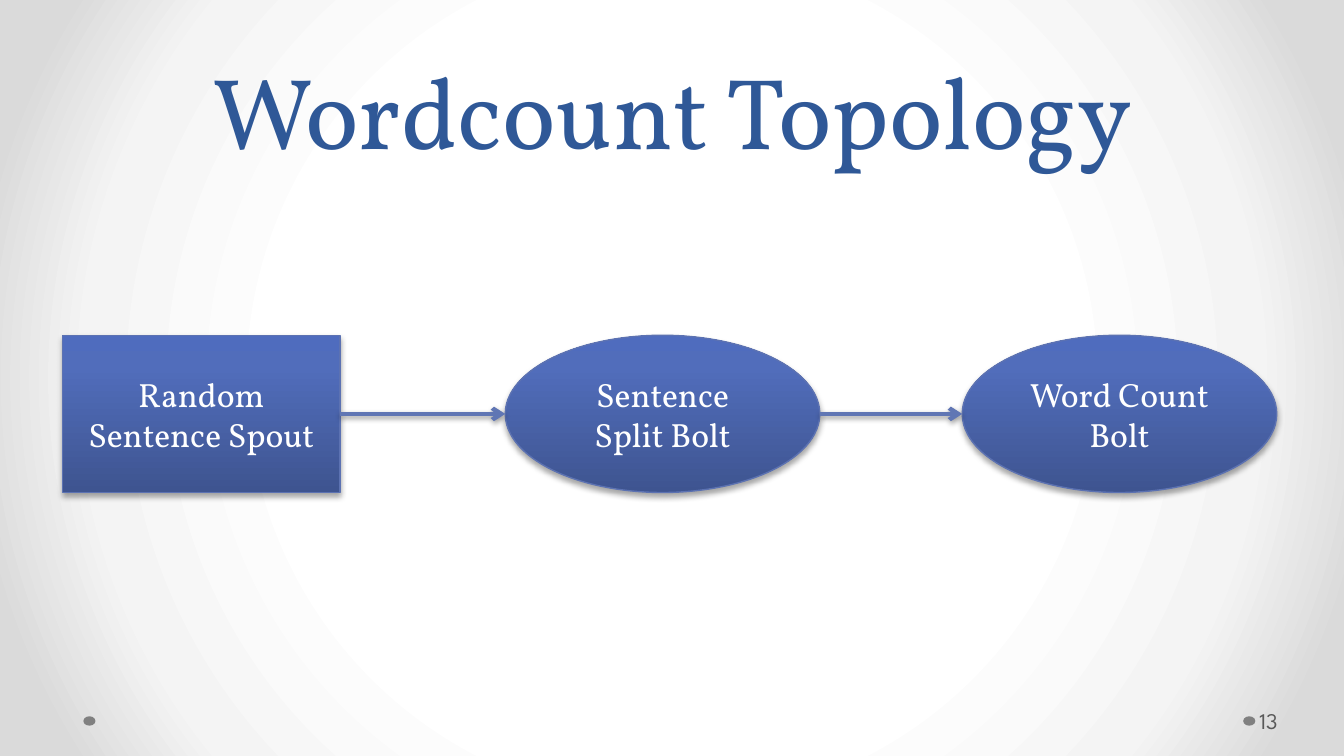
from lxml import etree
from pptx import Presentation
from pptx.dml.color import RGBColor
from pptx.enum import shapes, text
from pptx.oxml import parse_xml
from pptx.oxml.ns import nsdecls, qn
from pptx.util import Pt

PX = 4572  # 200 px to the inch
SERIF, SANS = "Vollkorn", "League Spartan"
RECT, OVAL = shapes.MSO_SHAPE.RECTANGLE, shapes.MSO_SHAPE.OVAL
BACK = [(50, "FFFFFF"), (76, "F4F4F4"), (92, "DADADA")]
BLUE = [(0, "3E5490"), (80, "516DBB"), (100, "4F6CBE")]
RADIAL = ('<a:path path="circle"><a:fillToRect l="50000" t="50000" '
          'r="50000" b="50000"/></a:path>')
UPWARD = '<a:lin ang="16200000" scaled="0"/>'


def px(*nums):
    return [n * PX for n in nums]


def color(code):
    return RGBColor.from_string(code)


def style(para, face, size, code, align=None):
    para.font.name, para.font.size = face, Pt(size)
    para.font.color.rgb = color(code)
    para.alignment = align


def shade(parent, stops, course):
    """Swap the solid fill of parent for a gradient."""
    marks = "".join(f'<a:gs pos="{pos * 1000}"><a:srgbClr val="{code}"/></a:gs>'
                    for pos, code in stops)
    grad = parse_xml(f'<a:gradFill {nsdecls("a")} rotWithShape="1">'
                     f'<a:gsLst>{marks}</a:gsLst>{course}</a:gradFill>')
    parent.replace(parent.find(qn("a:solidFill")), grad)


def shadow(item, alpha, dist):
    props = item.element.spPr
    effect = props.find(qn("a:effectLst"))
    if effect is None:
        effect = etree.SubElement(props, qn("a:effectLst"))
    effect.append(parse_xml(
        f'<a:outerShdw {nsdecls("a")} blurRad="{Pt(3.1)}" dist="{Pt(dist)}" '
        f'dir="5400000" rotWithShape="0"><a:srgbClr val="000000">'
        f'<a:alpha val="{alpha * 1000}"/></a:srgbClr></a:outerShdw>'))


def backdrop(slide):
    slide.background.fill.solid()
    shade(slide.element.xpath("p:cSld/p:bg/p:bgPr")[0], BACK, RADIAL)


def title(slide, words, box):
    head = slide.shapes.title
    head.left, head.top, head.width, head.height = px(*box)
    frame = head.text_frame
    frame.text = words
    frame.auto_size = text.MSO_AUTO_SIZE.NONE
    frame.vertical_anchor = text.MSO_ANCHOR.BOTTOM
    para = frame.paragraphs[0]
    para.line_spacing = Pt(58)
    style(para, SERIF, 54, "2F5897", text.PP_ALIGN.CENTER)


def node(slide, kind, words, box):
    item = slide.shapes.add_shape(kind, *px(*box))
    item.shadow.inherit = False
    item.fill.solid()
    shade(item.element.spPr, BLUE, UPWARD)
    item.line.color.rgb = color("5C72B2")
    item.line.width = Pt(0.75)
    shadow(item, 35, 1.8)
    frame = item.text_frame
    frame.text = words
    frame.word_wrap = True
    frame.vertical_anchor = text.MSO_ANCHOR.MIDDLE
    style(frame.paragraphs[0], SERIF, 18, "FFFFFF", text.PP_ALIGN.CENTER)


def arrow(slide, start, end, y):
    link = slide.shapes.add_connector(shapes.MSO_CONNECTOR.STRAIGHT,
                                      *px(start, y, end, y))
    link.line.color.rgb = color("6076B4")
    link.line.width = Pt(2.25)
    edge = link.element.spPr.find(qn("a:ln"))
    etree.SubElement(edge, qn("a:tailEnd"), type="arrow")
    shadow(link, 38, 1.6)


def flow(slide, box, nodes):
    """Draw nodes, given as (kind, words, offset, width), joined by arrows."""
    left, top, _, height = box
    for kind, words, shift, width in nodes:
        node(slide, kind, words, (left + shift, top, width, height))
    for (_, _, shift, width), after in zip(nodes, nodes[1:]):
        arrow(slide, left + shift + width, left + after[2], top + height // 2)


def footer(slide, number, box):
    left, top, width, height = box
    for x in (left, left + 1726):
        dot = slide.shapes.add_shape(OVAL, *px(x, top + 24, 18, 14))
        dot.shadow.inherit = False
        dot.fill.solid()
        dot.fill.fore_color.rgb = color("808080")
        dot.line.fill.background()
    note = slide.shapes.add_textbox(*px(left + width - 122, top, 122, height))
    frame = note.text_frame
    frame.text = number
    frame.word_wrap = True
    frame.vertical_anchor = text.MSO_ANCHOR.MIDDLE
    (frame.margin_left, frame.margin_top,
     frame.margin_right, frame.margin_bottom) = px(6, 10, 10, 10)
    style(frame.paragraphs[0], SANS, 12, "595959")


def main():
    deck = Presentation()
    deck.slide_width, deck.slide_height = px(2000, 1125)
    slide = deck.slides.add_slide(deck.slide_layouts[5])
    backdrop(slide)
    footer(slide, "13", (124, 1042, 1866, 60))
    title(slide, "Wordcount Topology", (100, 0, 1800, 262))
    flow(slide, (93, 499, 1807, 234), [
        (RECT, "Random Sentence Spout", 0, 413),
        (OVAL, "Sentence Split Bolt", 659, 468),
        (OVAL, "Word Count Bolt", 1339, 468),
    ])
    deck.save("out.pptx")


if __name__ == "__main__":
    main()
